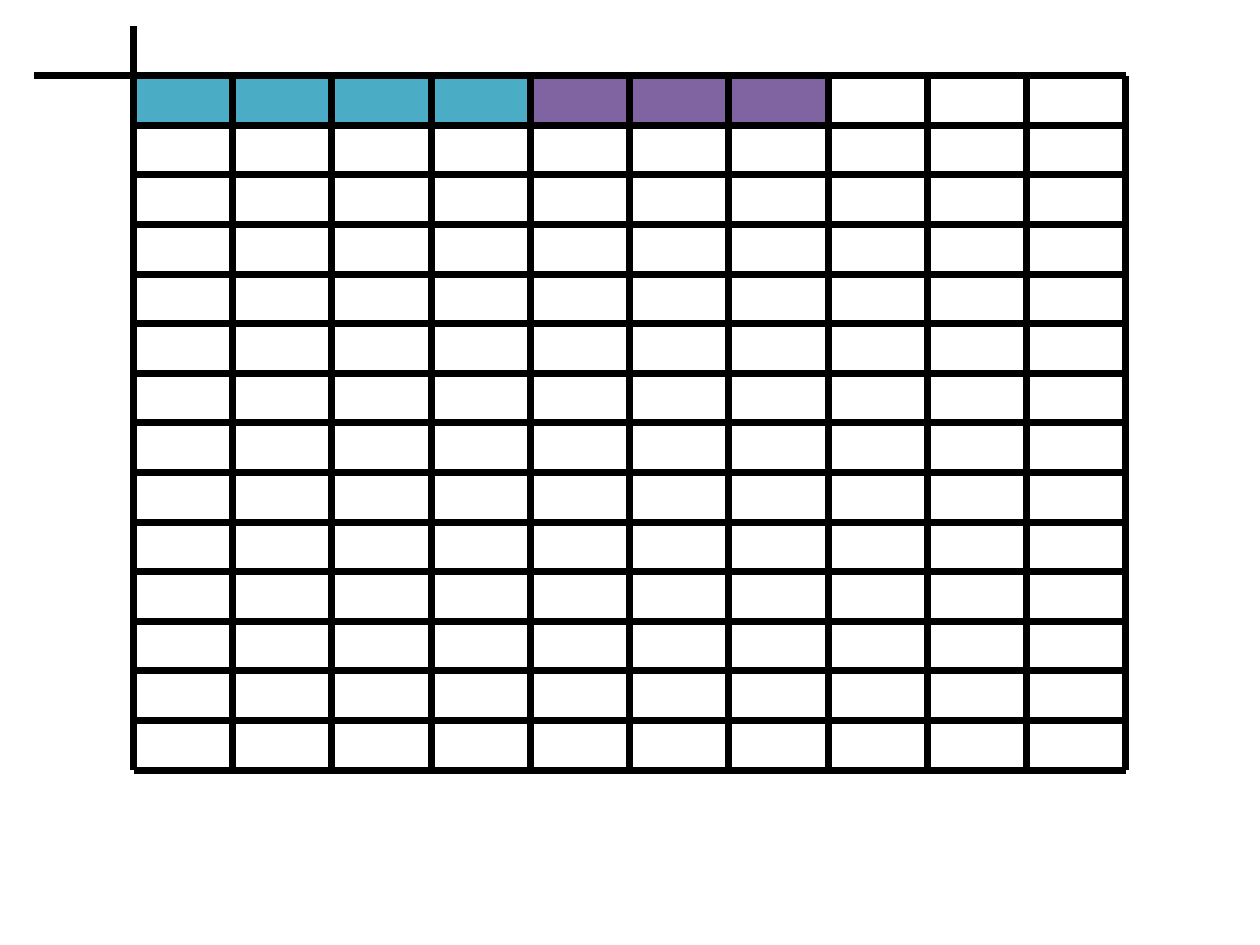
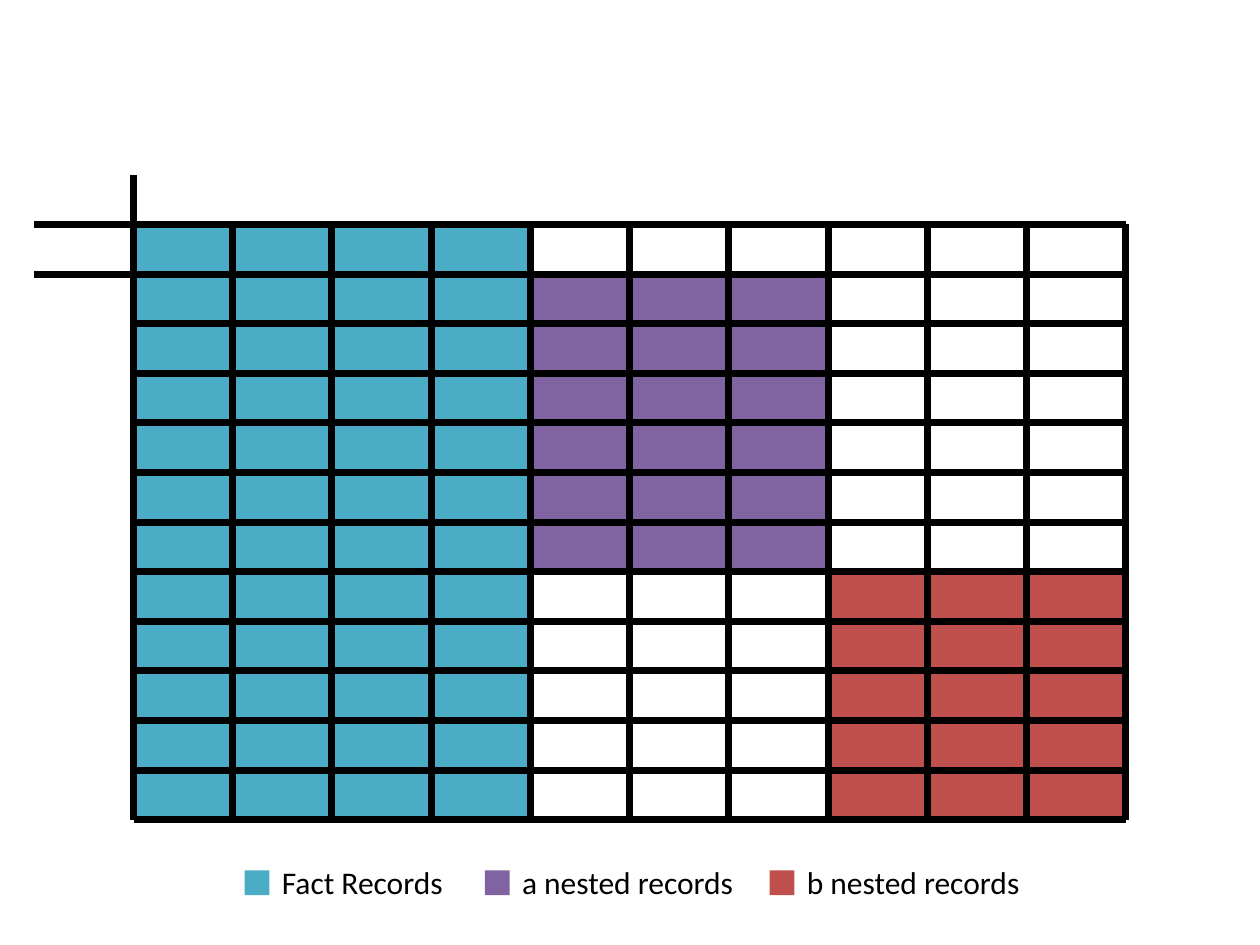
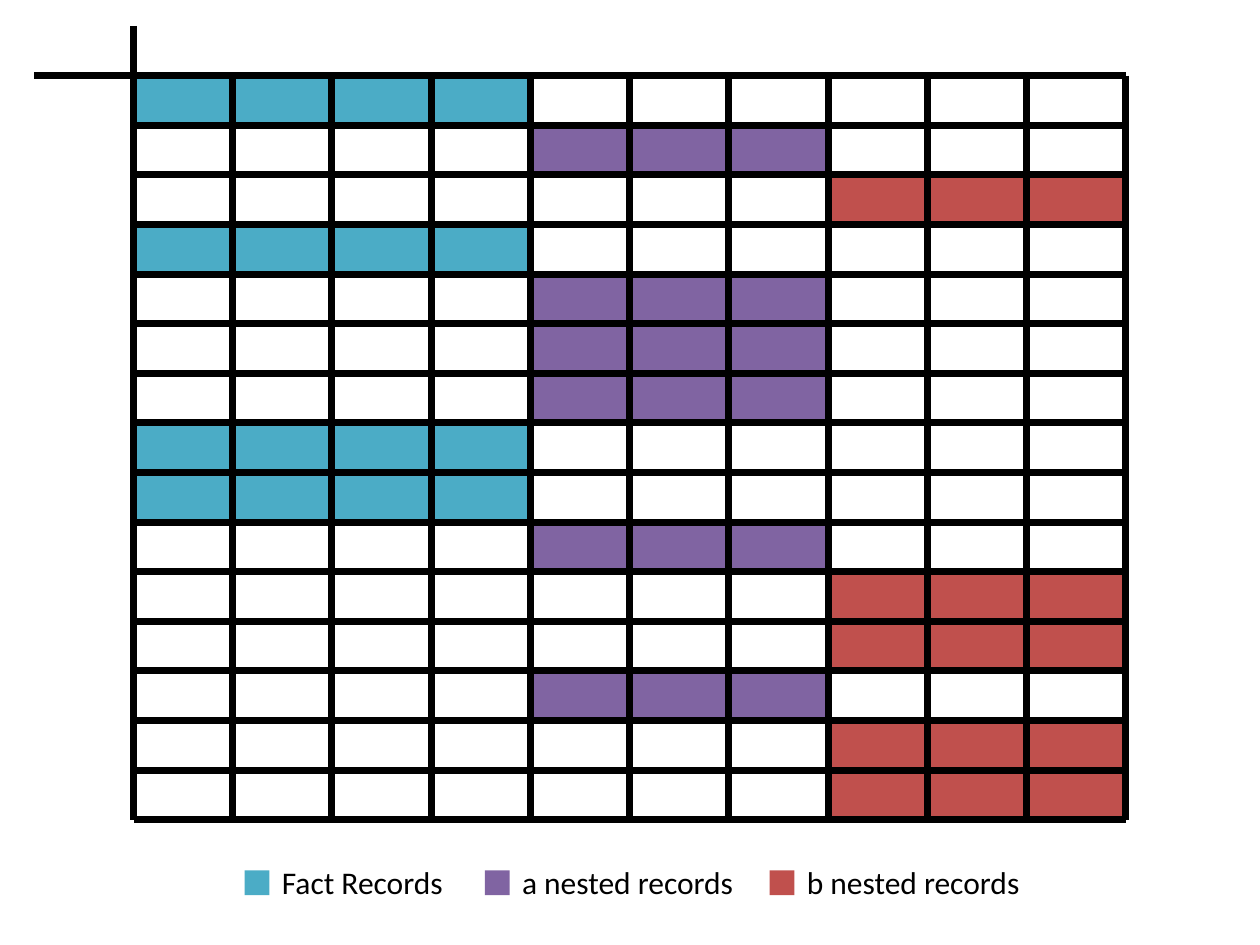
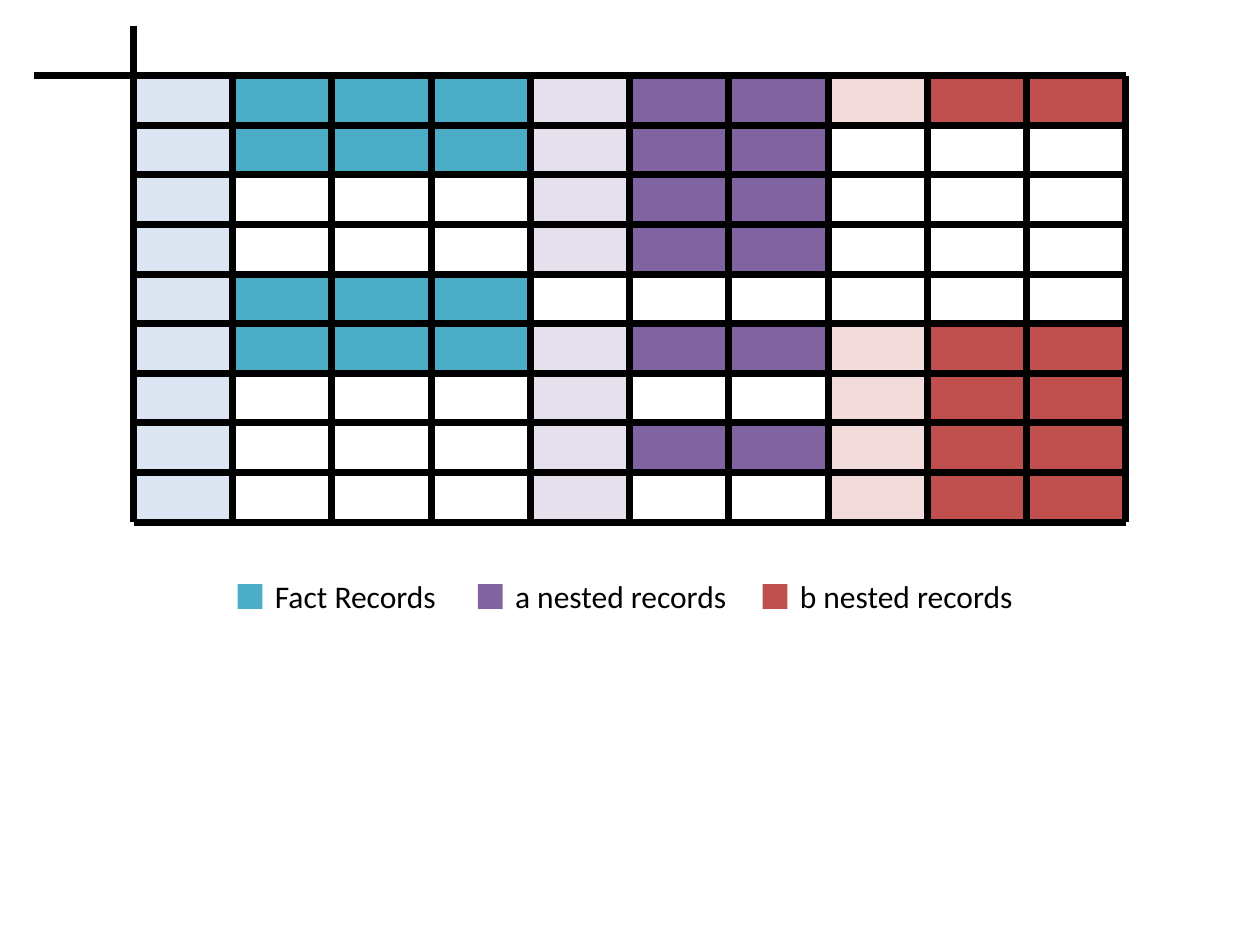
from dataclasses import dataclass

from lxml import etree
from pptx import Presentation
from pptx.dml.color import RGBColor
from pptx.enum.shapes import MSO_CONNECTOR, MSO_SHAPE
from pptx.enum.text import MSO_AUTO_SIZE
from pptx.oxml.ns import qn
from pptx.util import Inches, Pt

RECT = MSO_SHAPE.RECTANGLE
LINE = MSO_CONNECTOR.STRAIGHT
FIT = MSO_AUTO_SIZE.SHAPE_TO_FIT_TEXT

WIDE, HIGH = 10, 7.5
BLANK = 6
COLS = 10
# Column 0 starts at LEFT and row 0 at TOP; PITCH is the row height.
LEFT, TOP = 0.106 * WIDE, 0.08 * HIGH
PITCH = 0.0525 * HIGH
STEP = 2 * PITCH
FONT = "Calibri"
COLORS = {
    "fact": "4BACC6", "a": "8064A2", "b": "C0504D",
    "fact key": "DCE6F2", "a key": "E6E0EC", "b key": "F2DCDB",
    "ink": "000000",
}
# First column and column count of each kind of record.
SPANS = {
    "fact": (0, 4), "a": (4, 3), "b": (7, 3),
    "fact key": (0, 1), "a key": (4, 1), "b key": (7, 1),
}


@dataclass(frozen=True)
class Block:
    """Filled rows of one kind of record."""
    kind: str
    row: int
    count: int = 1


@dataclass(frozen=True)
class Entry:
    """Legend entry, placed in columns from the legend's start."""
    kind: str
    text: str
    col: float
    width: float


@dataclass(frozen=True)
class Sheet:
    """One slide: its grid rows, stub rows, blocks and legend place."""
    first: int
    last: int
    stubs: tuple[int, ...]
    blocks: tuple[Block, ...]
    legend: tuple[float, float] | None = None


ENTRIES = (
    Entry("fact", "Fact Records", 0, 1.89),
    Entry("a", "a nested records", 2.42, 2.41),
    Entry("b", "b nested records", 5.29, 2.42),
)

SHEETS = (
    Sheet(0, 14, (0,), (Block("a", 0), Block("fact", 0))),
    Sheet(3, 15, (3, 4),
          (Block("a", 4, 6), Block("b", 10, 5), Block("fact", 3, 12)),
          (1.12, 16.02)),
    Sheet(0, 15, (0,),
          (Block("fact", 0), Block("a", 1), Block("b", 2),
           Block("fact", 3), Block("a", 4, 3), Block("fact", 7),
           Block("fact", 8), Block("a", 9), Block("b", 10, 2),
           Block("a", 12), Block("b", 13, 2)),
          (1.12, 16.02)),
    Sheet(0, 9, (0,),
          (Block("fact", 0), Block("fact", 1), Block("fact", 4),
           Block("fact", 5), Block("a", 0), Block("a", 1, 3),
           Block("a", 5), Block("a", 7), Block("b", 0),
           Block("b", 5, 2), Block("b", 7, 2), Block("fact key", 0, 9),
           Block("a key", 0, 4), Block("a key", 5, 4),
           Block("b key", 0), Block("b key", 5, 4)),
          (1.05, 10.25)),
)


def across(col: float) -> int:
    """Give the left edge of a column."""
    return Inches(LEFT + col * STEP)


def down(row: float) -> int:
    """Give the top edge of a row."""
    return Inches(TOP + row * PITCH)


def box(slide, col: float, row: float, width: float, height: float,
        kind: str) -> None:
    """Draw a filled rectangle without a line."""
    shape = slide.shapes.add_shape(
        RECT, across(col), down(row),
        Inches(width * STEP), Inches(height * PITCH))
    shape.shadow.inherit = False
    shape.fill.solid()
    shape.fill.fore_color.rgb = RGBColor.from_string(COLORS[kind])
    shape.line.fill.background()


def rule(slide, start: tuple[float, float], end: tuple[float, float]) -> None:
    """Draw a grid line between two (column, row) points."""
    line = slide.shapes.add_connector(
        LINE, across(start[0]), down(start[1]), across(end[0]), down(end[1]))
    line.line.width = Pt(4)
    line.line.color.rgb = RGBColor.from_string(COLORS["ink"])
    etree.SubElement(line._element.spPr, qn("a:effectLst"))


def write(slide, text: str, col: float, row: float, width: float, *,
          size: float = 18, color: str = "ink", font: str = FONT) -> None:
    """Write one line of text in a box that fits it."""
    label = slide.shapes.add_textbox(
        across(col), down(row), Inches(width * STEP), Inches(1.02 * PITCH))
    frame = label.text_frame
    frame.word_wrap = False
    frame.auto_size = FIT
    run = frame.paragraphs[0].add_run()
    run.text = text
    run.font.name = font
    run.font.size = Pt(size)
    run.font.color.rgb = RGBColor.from_string(COLORS[color])


def grid(slide, sheet: Sheet) -> None:
    """Draw the grid, with its stubs above and to the left."""
    for col in range(COLS + 1):
        top = sheet.first - (1 if col == 0 else 0)
        rule(slide, (col, top), (col, sheet.last))
    for row in range(sheet.first, sheet.last + 1):
        start = -1 if row in sheet.stubs else 0
        rule(slide, (start, row), (COLS, row))


def legend(slide, col: float, row: float) -> None:
    """Draw the swatches and their labels."""
    for entry in ENTRIES:
        left = col + entry.col
        box(slide, left, row, 0.25, 0.5, entry.kind)
        write(slide, entry.text, left + 0.25, row - 0.27, entry.width)


def draw(deck, sheet: Sheet) -> None:
    """Add one slide."""
    slide = deck.slides.add_slide(deck.slide_layouts[BLANK])
    for block in sheet.blocks:
        col, width = SPANS[block.kind]
        box(slide, col, block.row, width, block.count, block.kind)
    grid(slide, sheet)
    if sheet.legend:
        legend(slide, *sheet.legend)


deck = Presentation()
deck.slide_width, deck.slide_height = Inches(WIDE), Inches(HIGH)
for sheet in SHEETS:
    draw(deck, sheet)
deck.save("out.pptx")
